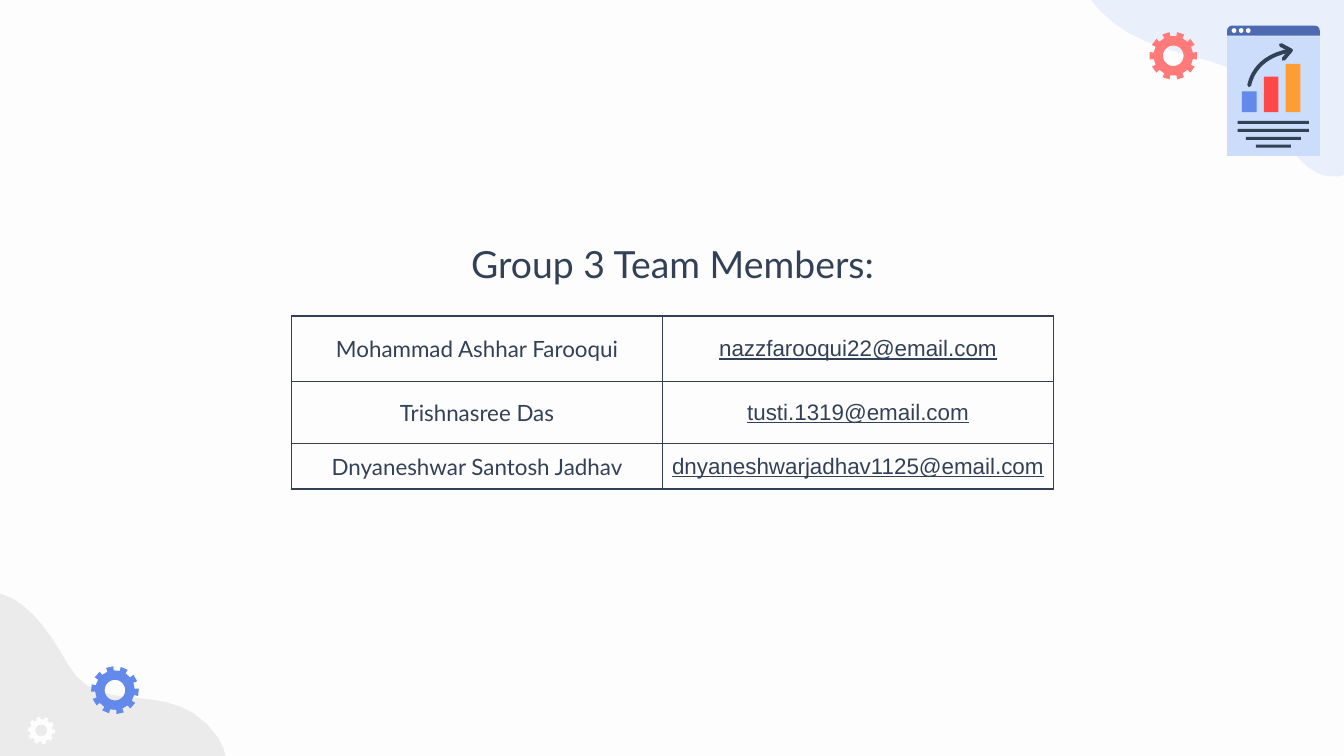
from dataclasses import dataclass
from math import cos, radians, sin

from lxml import etree
from pptx import Presentation
from pptx.dml.color import RGBColor
from pptx.enum.shapes import MSO_SHAPE
from pptx.enum.text import MSO_ANCHOR, MSO_AUTO_SIZE, PP_ALIGN
from pptx.oxml.ns import qn
from pptx.util import Inches, Pt

RECT, OVAL = MSO_SHAPE.RECTANGLE, MSO_SHAPE.OVAL
TAB = MSO_SHAPE.ROUND_2_SAME_RECTANGLE
CENTER = PP_ALIGN.CENTER
MIDDLE, BOTTOM = MSO_ANCHOR.MIDDLE, MSO_ANCHOR.BOTTOM
NO_FIT = MSO_AUTO_SIZE.NONE

CELL = Inches(0.1)  # the slide is a grid of square cells
COLS, ROWS = 100, 56.25
INK, PAPER, SKY, BLUE = "334157", "FDFDFD", "CBDDFA", "6389EB"
Point = tuple[float, float]


@dataclass
class Blob:
    """A closed chain of Bezier curves: a start, then three points per curve."""
    center: Point
    rotation: float
    color: str
    points: list[Point]
    alpha: int = 100


@dataclass
class Gear:
    center: Point
    radius: float
    color: str
    rotation: float = 0


@dataclass
class Block:
    kind: int
    left: float
    top: float
    width: float
    height: float
    color: str


BLOBS = [
    Blob((95.95, -2.4), 227, SKY, [
        (90.4, -19.3), (90.5, -19.5), (90.6, -19.6), (90.9, -19.7),
        (91, -19.7), (91, -19.7), (91.1, -19.8),
        (95.8, -22), (101.4, -13.9), (105.4, -9.2),
        (107.8, -6.6), (107.6, -7), (112, -2.9),
        (115.5, 0.3), (115, 3), (113.4, 4.2),
        (113.4, 4.3), (113.3, 4.3), (113.2, 4.3),
        (112.8, 4.6), (112.4, 4.8), (111.9, 4.9),
        (109.4, 5.3), (108.3, 5.1), (103.8, 11.1),
        (99.2, 17), (96.4, 13.5), (94.4, 8.9),
        (92.4, 4.3), (86.2, 6.2), (82, 1.9),
        (77.8, -2.3), (81, -5.4), (85.3, -7.9),
        (89.5, -10.5), (85.5, -15.8), (90.4, -19.3)], 39),
    Blob((-1.15, 60.2), 319, "EBEBEB", [
        (16, 55.2), (16.1, 55.4), (16.2, 55.6), (16.3, 55.8),
        (16.3, 55.9), (16.4, 55.9), (16.4, 56),
        (18.5, 60.8), (10.1, 66), (5.4, 69.9),
        (2.6, 72.2), (3.1, 72.1), (-1.2, 76.3),
        (-4.5, 79.6), (-7.2, 79.1), (-8.3, 77.5),
        (-8.4, 77.4), (-8.4, 77.3), (-8.5, 77.3),
        (-8.7, 76.9), (-8.9, 76.4), (-8.9, 75.9),
        (-9.3, 73.4), (-9.1, 72.3), (-14.8, 67.6),
        (-20.6, 62.8), (-17, 60.2), (-12.4, 58.3),
        (-7.7, 56.4), (-9.3, 50.2), (-5, 46.2),
        (-0.6, 42.1), (2.4, 45.4), (4.8, 49.7),
        (7.2, 54.1), (12.6, 50.2), (16, 55.2)]),
]
REPORT = [
    Block(RECT, 91.3, 2.7, 6.9, 8.9, SKY),
    Block(TAB, 91.3, 1.9, 6.9, 0.75, "4C69B2"),
    *[Block(OVAL, 91.64 + 0.53 * i, 2.1, 0.35, 0.35, PAPER) for i in range(3)],
    *[Block(RECT, 92.4 + 1.63 * i, 8.35 - height, 1.1, height, color)
      for i, (height, color) in enumerate(
          [(1.55, BLUE), (2.65, "FF4949"), (3.6, "FF9D35")])],
    *[Block(RECT, 94.75 - width / 2, 9 + 0.59 * i, width, 0.23, INK)
      for i, width in enumerate([5.3, 5.3, 4.1, 2.6])],
]
TREND = [(92.95, 6.35), (93.1, 5.7), (93.6, 4.2), (96.05, 3.75)]
TREND_HEAD = [(95.3, 3.35), (96.05, 3.75), (95.5, 4.4)]
GEARS = [
    Gear((87.3, 4.15), 1.78, "FF7A78"),
    Gear((8.55, 51.35), 1.78, BLUE, 221.2),
    Gear((3.07, 54.35), 1.02, PAPER, 221.2),
]
MEMBERS = [
    ("Mohammad Ashhar Farooqui", "nazzfarooqui22@email.com"),
    ("Trishnasree Das", "tusti.1319@email.com"),
    ("Dnyaneshwar Santosh Jadhav", "dnyaneshwarjadhav1125@email.com"),
]
COL_WIDTHS, ROW_HEIGHTS = [27.6, 29.1], [4.9, 4.6, 3.4]


def cells(*values: float) -> list[int]:
    return [round(v * CELL) for v in values]


def rgb(color: str) -> RGBColor:
    return RGBColor.from_string(color)


def paint(sp, color: str, alpha: int = 100) -> None:
    sp.shadow.inherit = False
    sp.fill.solid()
    sp.fill.fore_color.rgb = rgb(color)
    sp.line.fill.background()
    if alpha < 100:
        node = sp.fill._xPr.find(".//" + qn("a:srgbClr"))
        etree.SubElement(node, qn("a:alpha"), val=str(alpha * 1000))


def write(tf, text: str, *, font="Lato", size=12, underline=False,
          margins=(1, 0.5), spacing=None) -> None:
    """Fill a text frame or table cell; margins are (sides, top and bottom)."""
    tf.margin_left = tf.margin_right = cells(margins[0])[0]
    tf.margin_top = tf.margin_bottom = cells(margins[1])[0]
    p = getattr(tf, "text_frame", tf).paragraphs[0]
    p.alignment = CENTER
    if spacing:
        p.line_spacing = spacing
    r = p.add_run()
    r.text = text
    r.font.name, r.font.size, r.font.underline = font, Pt(size), underline
    r.font.color.rgb = rgb(INK)


def turn(point: Point, center: Point, degrees: float) -> Point:
    a = radians(degrees)
    x, y = point[0] - center[0], point[1] - center[1]
    return center[0] + x * cos(a) - y * sin(a), center[1] + x * sin(a) + y * cos(a)


def bezier(points: list[Point], steps: int = 12) -> list[Point]:
    """Points along a chain of cubic curves."""
    out = [points[0]]
    for i in range(0, len(points) - 1, 3):
        for n in range(1, steps + 1):
            t = n / steps
            weights = (1 - t) ** 3, 3 * t * (1 - t) ** 2, 3 * t * t * (1 - t), t ** 3
            out.append(tuple(sum(w * q[k] for w, q in zip(weights, points[i:i + 4]))
                             for k in (0, 1)))
    return out


def outline(slide, *contours: list[Point], close: bool = True):
    fb = slide.shapes.build_freeform(*cells(*contours[0][0]))
    for i, contour in enumerate(contours):
        if i:
            fb.move_to(*cells(*contour[0]))
        fb.add_line_segments([cells(*q) for q in contour[1:]], close=close)
    return fb.convert_to_shape()


def draw_blob(slide, blob: Blob) -> None:
    sp = outline(slide, [turn(q, blob.center, -blob.rotation)
                         for q in bezier(blob.points)])
    sp.rotation = blob.rotation
    paint(sp, blob.color, blob.alpha)


def draw_gear(slide, gear: Gear, teeth: int = 10) -> None:
    def at(share: float, degrees: float) -> Point:
        x, y = gear.center
        return turn((x + share * gear.radius, y), gear.center, degrees)

    pitch = 360 / teeth
    corners = [(0.83, -0.25), (1, -0.25), (1, 0.25), (0.83, 0.25)]
    rim = [at(share, pitch * (i + offset))
           for i in range(teeth) for share, offset in corners]
    hole = [at(0.43, -10 * i) for i in range(36)]
    sp = outline(slide, rim, hole)
    sp.rotation = gear.rotation
    paint(sp, gear.color)


def draw_block(slide, b: Block) -> None:
    sp = slide.shapes.add_shape(b.kind, *cells(b.left, b.top, b.width, b.height))
    if b.kind == TAB:
        sp.adjustments[0] = 0.5
    paint(sp, b.color)


def draw_trend(slide) -> None:
    sp = outline(slide, bezier(TREND), TREND_HEAD, close=False)
    sp.shadow.inherit = False
    sp.fill.background()
    sp.line.color.rgb = rgb(INK)
    sp.line.width = Pt(2.1)
    ln = sp.line._get_or_add_ln()
    ln.set("cap", "rnd")
    etree.SubElement(ln, qn("a:round"))


def add_borders(cell) -> None:
    tc_pr = cell._tc.get_or_add_tcPr()
    for side in ("lnL", "lnR", "lnT", "lnB"):
        ln = etree.SubElement(tc_pr, qn("a:" + side), w=str(Pt(1)))
        fill = etree.SubElement(ln, qn("a:solidFill"))
        etree.SubElement(fill, qn("a:srgbClr"), val=INK)


def draw_members(slide) -> None:
    box = cells(21.7, 23.5, sum(COL_WIDTHS), sum(ROW_HEIGHTS))
    table = slide.shapes.add_table(len(MEMBERS), 2, *box).table
    table.first_row = table.horz_banding = False
    for col, width in zip(table.columns, cells(*COL_WIDTHS)):
        col.width = width
    for row, height, (name, email) in zip(table.rows, cells(*ROW_HEIGHTS), MEMBERS):
        row.height = height
        write(row.cells[0], name)
        write(row.cells[1], email, font="Arial", underline=True, margins=(0.3, 0.2))
        for cell in row.cells:
            cell.vertical_anchor = MIDDLE
            add_borders(cell)
            cell.fill.background()


def main() -> None:
    prs = Presentation()
    prs.slide_width, prs.slide_height = cells(COLS, ROWS)
    slide = prs.slides.add_slide(prs.slide_layouts[5])
    slide.background.fill.solid()
    slide.background.fill.fore_color.rgb = rgb(PAPER)
    for blob in BLOBS:
        draw_blob(slide, blob)
    for block in REPORT:
        draw_block(slide, block)
    draw_trend(slide)
    for gear in GEARS:
        draw_gear(slide, gear)
    draw_members(slide)
    title = slide.shapes.title
    title.left, title.top, title.width, title.height = cells(32.7, 17.6, 34.7, 4.7)
    tf = title.text_frame
    tf.auto_size, tf.vertical_anchor, tf.word_wrap = NO_FIT, BOTTOM, True
    write(tf, "Group 3 Team Members:", size=20, margins=(1, 1), spacing=0.85)
    prs.save("out.pptx")


if __name__ == "__main__":
    main()
